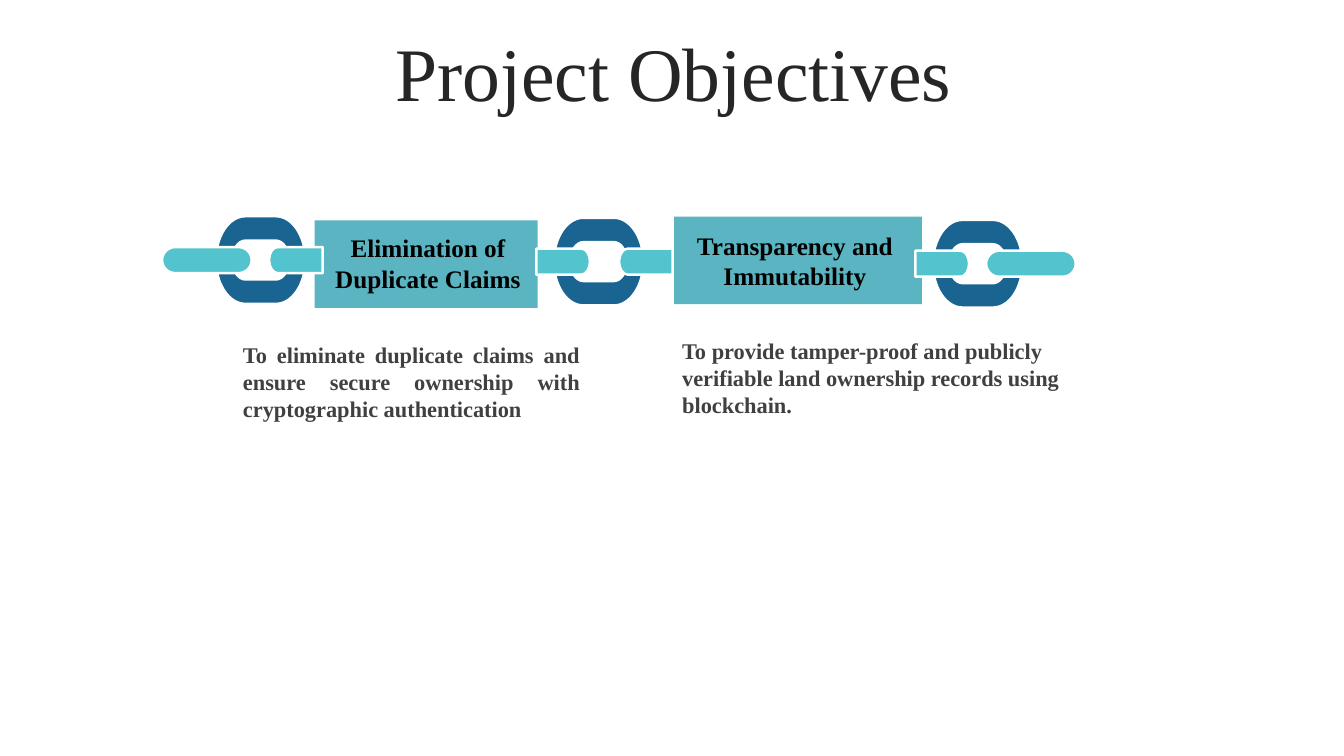
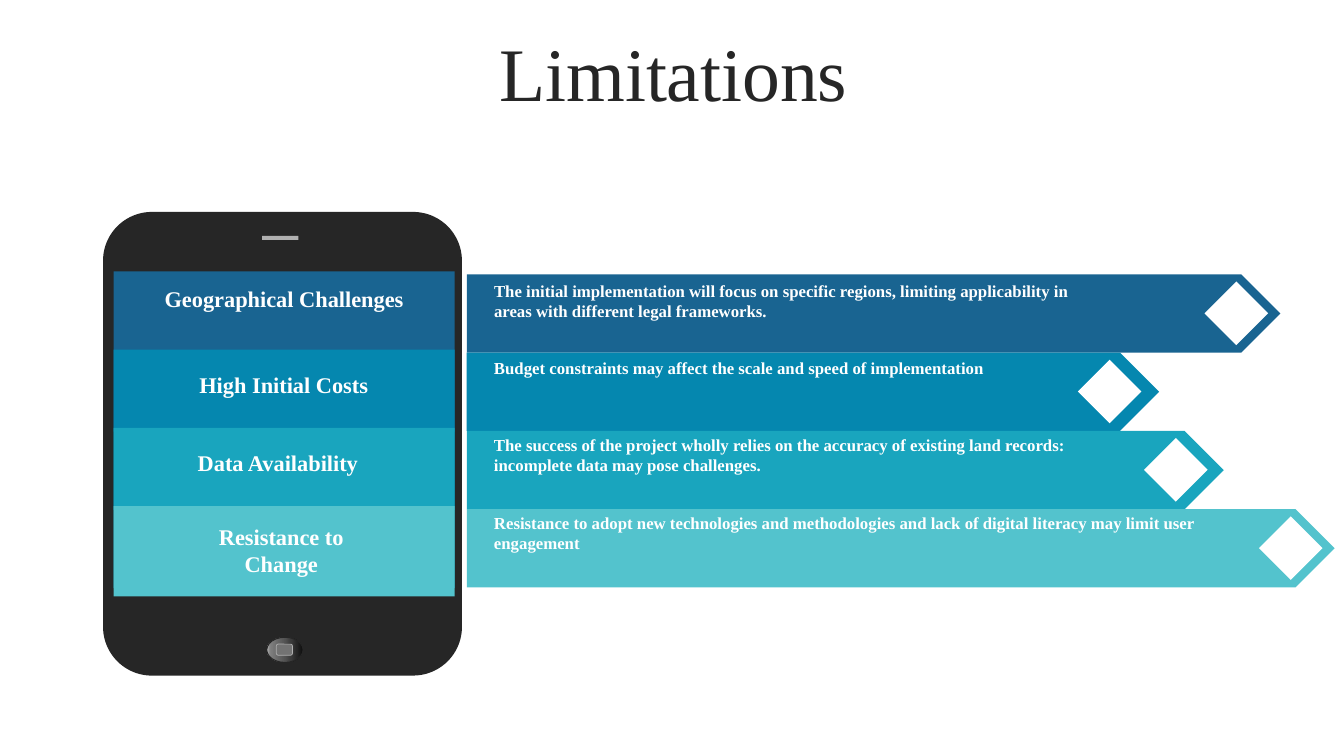
from lxml.etree import SubElement
from pptx import Presentation
from pptx.dml.color import RGBColor
from pptx.enum.shapes import MSO_SHAPE as SHAPE
from pptx.enum.text import MSO_ANCHOR as ANCHOR, MSO_AUTO_SIZE as AUTO, PP_ALIGN as ALIGN
from pptx.oxml.ns import qn
from pptx.util import Pt

# Shared look
FONT = "Times New Roman"
WHITE, BLACK, DARK, BODY = "FFFFFF", "000000", "262626", "404040"
NAVY, BLUE, TEAL, AQUA = "196491", "0587AF", "19A5BE", "53C3CD"
PLATE, SILVER, GREY = "5AB4C1", "B0B0B0", "737373"
TITLE = (25.4, 26.6, 911.5, 56.9)


def color(code):
    return RGBColor.from_string(code)


def paint(shape, fill, line=None, width=1.75):
    shape.shadow.inherit = False
    if fill:
        shape.fill.solid()
        shape.fill.fore_color.rgb = color(fill)
    if line:
        shape.line.color.rgb = color(line)
        shape.line.width = Pt(width)
    else:
        shape.line.fill.background()
    return shape


def add(slide, kind, box, fill, line=None, width=1.75, adjust=None):
    shape = slide.shapes.add_shape(kind, *map(Pt, box))
    if adjust is not None:
        shape.adjustments[0] = adjust
    return paint(shape, fill, line, width)


def label(slide, box, text, size, ink, bold=True, align=ALIGN.LEFT,
          anchor=ANCHOR.TOP, grow=AUTO.SHAPE_TO_FIT_TEXT):
    frame = slide.shapes.add_textbox(*map(Pt, box)).text_frame
    frame.word_wrap = True
    frame.auto_size = grow
    frame.vertical_anchor = anchor
    frame.text = text
    par = frame.paragraphs[0]
    par.alignment = align
    for run in par.runs:
        run.font.name = FONT
        run.font.size = Pt(size)
        run.font.bold = bold
        run.font.color.rgb = color(ink)
    return par


def start(deck, title):
    slide = deck.slides.add_slide(deck.slide_layouts[6])
    par = label(slide, TITLE, title, 54, DARK, bold=False, align=ALIGN.CENTER,
                anchor=ANCHOR.MIDDLE, grow=AUTO.NONE)
    par.line_spacing = 0.9
    return slide


# Chain parts: outlines with half-ellipse ends
def cap(x, mid, rx, ry):
    """Half an ellipse as two curves, or one straight side if rx is 0."""
    if not rx:
        return [[(x, mid + ry)]]
    k = 0.55
    return [[(x + k * rx, mid - ry), (x + rx, mid - k * ry), (x + rx, mid)],
            [(x + rx, mid + k * ry), (x + k * rx, mid + ry), (x, mid + ry)]]


def curve(x, y, w, h, left, right):
    """Start point and steps; left and right are the depths of the ends."""
    mid, half = y + h / 2, h / 2
    east, west = x + w - right, x + left
    steps = cap(east, mid, right, half) + [[(west, y + h)]]
    return (east, y), steps + cap(west, mid, -left, -half)


def bend(shape, steps):
    """Join each three points of a curved step into one Bezier."""
    lines = list(shape._element.iter(qn("a:lnTo")))
    for step in steps:
        part, lines = lines[:len(step)], lines[len(step):]
        if len(step) == 3:
            part[0].tag = qn("a:cubicBezTo")
            for extra in part[1:]:
                part[0].append(extra[0])
                extra.getparent().remove(extra)


def draw(slide, fill, *loops):
    spots = [[(Pt(a), Pt(b)) for a, b in [head] + sum(steps, [])]
             for head, steps in loops]
    pen = slide.shapes.build_freeform(*spots[0][0], scale=1.0)
    for n, (head, *rest) in enumerate(spots):
        if n:
            pen.move_to(*head)
        pen.add_line_segments(rest, close=True)
    shape = paint(pen.convert_to_shape(), fill, WHITE)
    bend(shape, [step for _, steps in loops for step in steps])


def pill(slide, x, y):
    add(slide, SHAPE.ROUNDED_RECTANGLE, (x, y, 64, 18.6), AQUA, WHITE, adjust=0.5)


def tab(slide, x, y, left, right):
    draw(slide, AQUA, curve(x, y, 38.3, 18.6, left, right))


def link(slide, x, y, first=False, last=False, gap=38):
    """A ring with a bar on either side; the chain's ends get pills."""
    draw(slide, NAVY, curve(x, y, 64, 62.6, 21, 21),
         curve(x + 11.8, y + 17.4, 40.4, 27.8, 9.4, 9.4))
    bar = y + 22
    if first:
        pill(slide, x - 38.4, bar)
    else:
        tab(slide, x - 12.5, bar, 0, 6.2)
    if last:
        pill(slide, x + 38, bar)
    else:
        tab(slide, x + gap, bar, 6.2, 0)


def plate(slide, box, spot, text):
    add(slide, SHAPE.ROUNDED_RECTANGLE, box, PLATE, adjust=0)
    label(slide, spot, text, 18, BLACK, align=ALIGN.CENTER)


def goals(deck):
    slide = start(deck, "Project Objectives")
    # Chain, back to front
    plate(slide, (224.8, 157.4, 159.3, 62.6), (219.6, 162.7, 172.1, 51.1),
          "Elimination of Duplicate Claims")
    link(slide, 154.2, 154.5, first=True)
    link(slide, 395.6, 155.6, gap=46.6)
    plate(slide, (481.5, 154.8, 177.1, 62.4), (481, 160.6, 173.5, 51.1),
          "Transparency and Immutability")
    link(slide, 666.4, 157.1, last=True)
    # Details
    label(slide, (166.5, 240.2, 254.9, 65.5),
          "To eliminate duplicate claims and ensure secure ownership with "
          "cryptographic authentication", 16, BODY, align=ALIGN.JUSTIFY)
    label(slide, (480.2, 237.6, 288.7, 65.5),
          "To provide tamper-proof and publicly verifiable land ownership "
          "records using blockchain.", 16, BODY)


# Phone and arrows
STEP = 55.9
# color, label, (label left, top, width, height) in its band,
# arrow width, diamond distance from the tip, text drop, text width, text
LIMITS = [
    (NAVY, "Geographical Challenges", (18, 6.4, 207.4, 26.6), 581.2, 54.2, 1.2, 454.3,
     "The initial implementation will focus on specific regions, limiting "
     "applicability in areas with different legal frameworks."),
    (BLUE, "High Initial Costs", (38.4, 11.8, 166.3, 26.6), 494.6, 58.1, 0, 436.3,
     "Budget constraints may affect the scale and speed of implementation"),
    (TEAL, "Data Availability", (41, 11.5, 152.6, 26.6), 540.7, 56.9, -0.6, 448.6,
     "The success of the project wholly relies on the accuracy of existing "
     "land records: incomplete data may pose challenges."),
    (AQUA, "Resistance to Change", (43.4, 8.5, 152.6, 46), 619.9, 54, -1, 568.8,
     "Resistance to adopt new technologies and methodologies and lack of "
     "digital literacy may limit user engagement"),
]


def shade(shape, stops):
    """Fill with a right-to-left gradient."""
    shape.fill.gradient()
    shape.fill.gradient_angle = 180
    rows = next(shape._element.iter(qn("a:gsLst")))
    for old in list(rows):
        rows.remove(old)
    for spot, code in stops:
        stop = SubElement(rows, qn("a:gs"), pos=str(spot * 1000))
        SubElement(stop, qn("a:srgbClr"), val=code)


def phone(slide, x, y, w, h):
    # Case, speaker and button
    add(slide, SHAPE.ROUNDED_RECTANGLE, (x, y, w, h), DARK, adjust=0.136)
    add(slide, SHAPE.RECTANGLE, (x + 113.6, y + 17.1, 26, 2.9), SILVER)
    knob = add(slide, SHAPE.OVAL, (x + 117, y + 303.8, 25.9, 18), None, DARK, 0)
    shade(knob, [(0, "0F0F0F"), (56, "595959"), (91, "808080"), (100, "BFBFBF")])
    add(slide, SHAPE.ROUNDED_RECTANGLE, (x + 123.8, y + 308.7, 11.5, 7.9),
        GREY, SILVER, 0.5)
    # Screen bands, each overlapping the one above
    left, top = x + 7.6, y + 42.4
    for n, (tone, *_) in enumerate(LIMITS):
        tall = 64.5 if n == len(LIMITS) - 1 else 114.5
        add(slide, SHAPE.RECTANGLE, (left, top + n * STEP, 243.6, tall), tone)
    for n, (_, name, (dx, dy, wide, high), *_) in enumerate(LIMITS):
        label(slide, (left + dx, top + n * STEP + dy, wide, high), name, 16,
              WHITE, align=ALIGN.CENTER)


def arrows(slide, x, y):
    for n, (tone, _, _, wide, back, drop, room, text) in enumerate(LIMITS):
        row = y + n * STEP
        add(slide, SHAPE.PENTAGON, (x, row, wide, STEP), tone)
        add(slide, SHAPE.DIAMOND, (x + wide - back, row + 5.1, 45.4, 45.4), WHITE)
        high = 21.8 if n == 1 else 36.3
        label(slide, (x + 12.4, row + drop, room, high), text, 12, WHITE)


def limits(deck):
    slide = start(deck, "Limitations")
    phone(slide, 73.6, 151.4, 256.4, 331.2)
    arrows(slide, 333.4, 196)


def main():
    deck = Presentation()
    deck.slide_width, deck.slide_height = Pt(960), Pt(540)
    goals(deck)
    limits(deck)
    deck.save("out.pptx")


if __name__ == "__main__":
    main()
